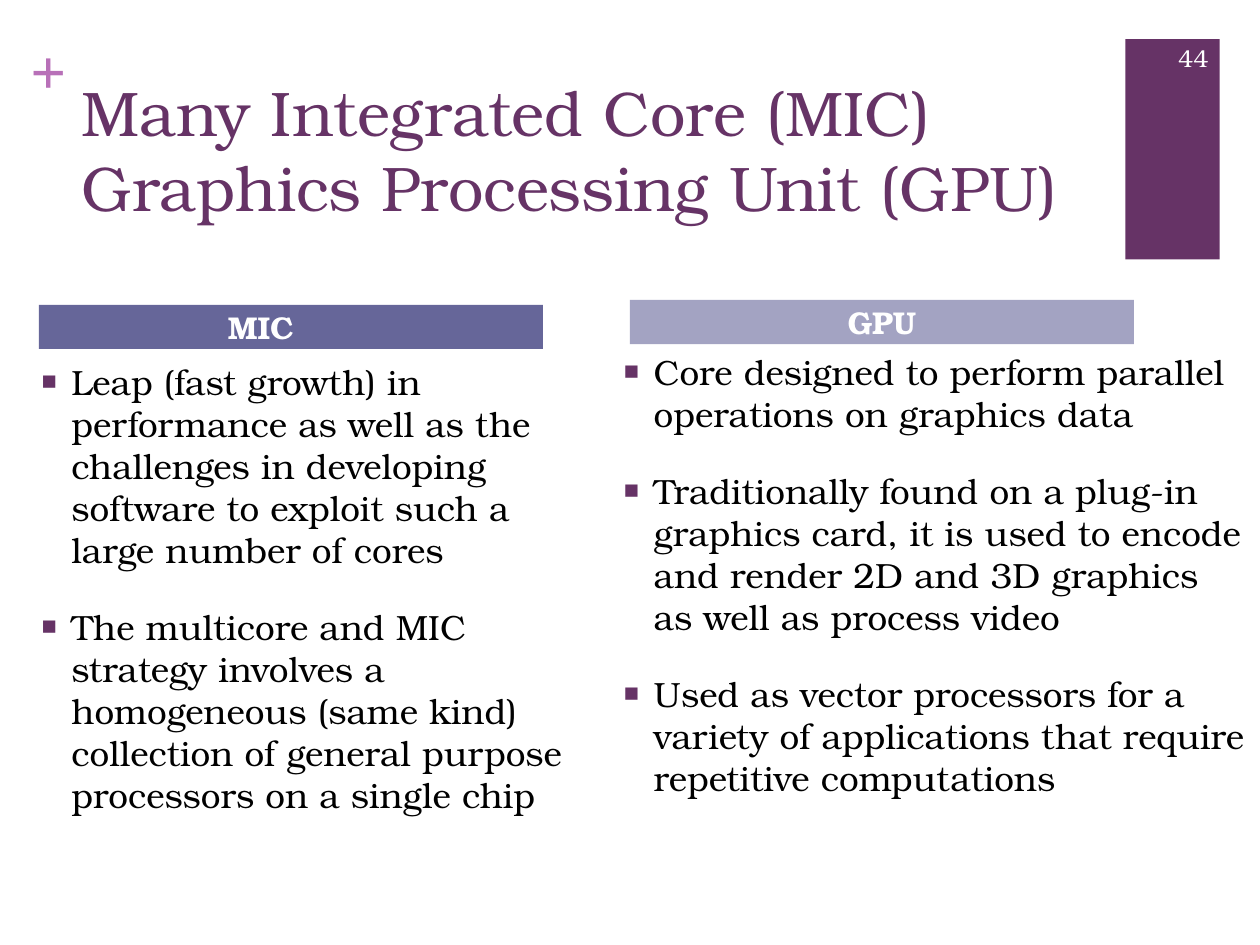
from lxml.etree import SubElement
from pptx import Presentation
from pptx.dml.color import RGBColor
from pptx.enum.shapes import MSO_SHAPE
from pptx.enum.text import MSO_ANCHOR, MSO_AUTO_SIZE, PP_ALIGN
from pptx.oxml.ns import qn
from pptx.util import Pt

COLORS = {
    "plum": "663366",
    "orchid": "B870B8",
    "slate": "666699",
    "lavender": "A3A3C2",
    "black": "000000",
    "white": "FFFFFF",
}


class SlideBuilder:
    font = "TeX Gyre Bonum"

    def __init__(self, slide):
        self.slide = slide

    def color(self, name):
        return RGBColor.from_string(COLORS[name])

    def run(self, paragraph, text, size, color, bold=False, font=None):
        run = paragraph.add_run()
        run.text = text
        run.font.name = font or self.font
        run.font.size = Pt(size)
        run.font.bold = bold
        run.font.color.rgb = self.color(color)

    def frame(self, shape, anchor=MSO_ANCHOR.TOP, insets=(7.2, 3.6)):
        frame = shape.text_frame
        frame.word_wrap = True
        frame.auto_size = MSO_AUTO_SIZE.NONE
        frame.vertical_anchor = anchor
        frame.margin_left = frame.margin_right = Pt(insets[0])
        frame.margin_top = frame.margin_bottom = Pt(insets[1])
        return frame

    def title(self, lines, left, top, width, height):
        title = self.slide.shapes.title
        title.left, title.top = Pt(left), Pt(top)
        title.width, title.height = Pt(width), Pt(height)
        paragraph = self.frame(title).paragraphs[0]
        paragraph.alignment = PP_ALIGN.LEFT
        paragraph.space_before = paragraph.space_after = Pt(6)
        for index, line in enumerate(lines):
            if index:
                paragraph.add_line_break()
            self.run(paragraph, line, 36, "plum")

    def block(self, fill, left, top, width, height):
        block = self.slide.shapes.add_shape(
            MSO_SHAPE.RECTANGLE, Pt(left), Pt(top), Pt(width), Pt(height))
        block.shadow.inherit = False
        block.fill.solid()
        block.fill.fore_color.rgb = self.color(fill)
        block.line.fill.background()
        return block

    def heading(self, text, fill, left, top):
        banner = self.block(fill, left, top, 288, 25.2)
        paragraph = self.frame(banner, MSO_ANCHOR.MIDDLE, (7.2, 0)).paragraphs[0]
        paragraph.alignment = PP_ALIGN.CENTER
        self.run(paragraph, text, 18, "white", bold=True)

    def label(self, text, box, size, color, align=PP_ALIGN.LEFT,
              anchor=MSO_ANCHOR.TOP, insets=(7.2, 3.6), **style):
        label = self.slide.shapes.add_textbox(*map(Pt, box))
        paragraph = self.frame(label, anchor, insets).paragraphs[0]
        paragraph.alignment = align
        self.run(paragraph, text, size, color, **style)

    def bullets(self, items, left, top, width, height):
        body = self.slide.shapes.add_textbox(Pt(left), Pt(top), Pt(width), Pt(height))
        frame = self.frame(body)
        for index, item in enumerate(items):
            paragraph = frame.add_paragraph() if index else frame.paragraphs[0]
            paragraph.space_before = Pt(20)
            self.square_bullet(paragraph)
            self.run(paragraph, item, 20, "black")

    def square_bullet(self, paragraph):
        properties = paragraph._p.get_or_add_pPr()
        properties.set("marL", str(Pt(18)))
        properties.set("indent", str(-Pt(18)))
        bullet_color = SubElement(properties, qn("a:buClr"))
        SubElement(bullet_color, qn("a:srgbClr"), val=COLORS["plum"])
        SubElement(properties, qn("a:buSzPct"), val="75000")
        SubElement(properties, qn("a:buFont"), typeface=self.font)
        SubElement(properties, qn("a:buChar"), char="■")


def main():
    presentation = Presentation()
    presentation.slide_width, presentation.slide_height = Pt(720), Pt(540)
    builder = SlideBuilder(presentation.slides.add_slide(presentation.slide_layouts[5]))

    builder.block("plum", 643, 22.3, 54, 126)
    builder.label("+", (17.3, 18, 20.9, 43.9), 36, "orchid", insets=(0, 0),
                  bold=True, font="Times New Roman")
    builder.title(["Many Integrated Core (MIC)", "Graphics Processing Unit (GPU)"],
                  39.6, 38.2, 594.7, 105.8)

    builder.bullets([
        "Leap (fast growth) in performance as well as the challenges in "
        "developing software to exploit such a large number of cores",
        "The multicore and MIC strategy involves a homogeneous (same kind) "
        "collection of general purpose processors on a single chip",
    ], 15.8, 202.3, 326.9, 264.2)
    builder.bullets([
        "Core designed to perform parallel operations on graphics data",
        "Traditionally found on a plug-in graphics card, it is used to encode "
        "and render 2D and 3D graphics as well as process video",
        "Used as vector processors for a variety of applications that require "
        "repetitive computations",
    ], 348.5, 196.6, 371.5, 275.8)

    builder.heading("MIC\t", "slate", 22.3, 174.2)
    builder.heading("GPU", "lavender", 360, 171.4)
    builder.label("44", (653.8, 18.7, 43.9, 28.8), 14, "white",
                  PP_ALIGN.RIGHT, MSO_ANCHOR.MIDDLE)

    presentation.save("out.pptx")


if __name__ == "__main__":
    main()
